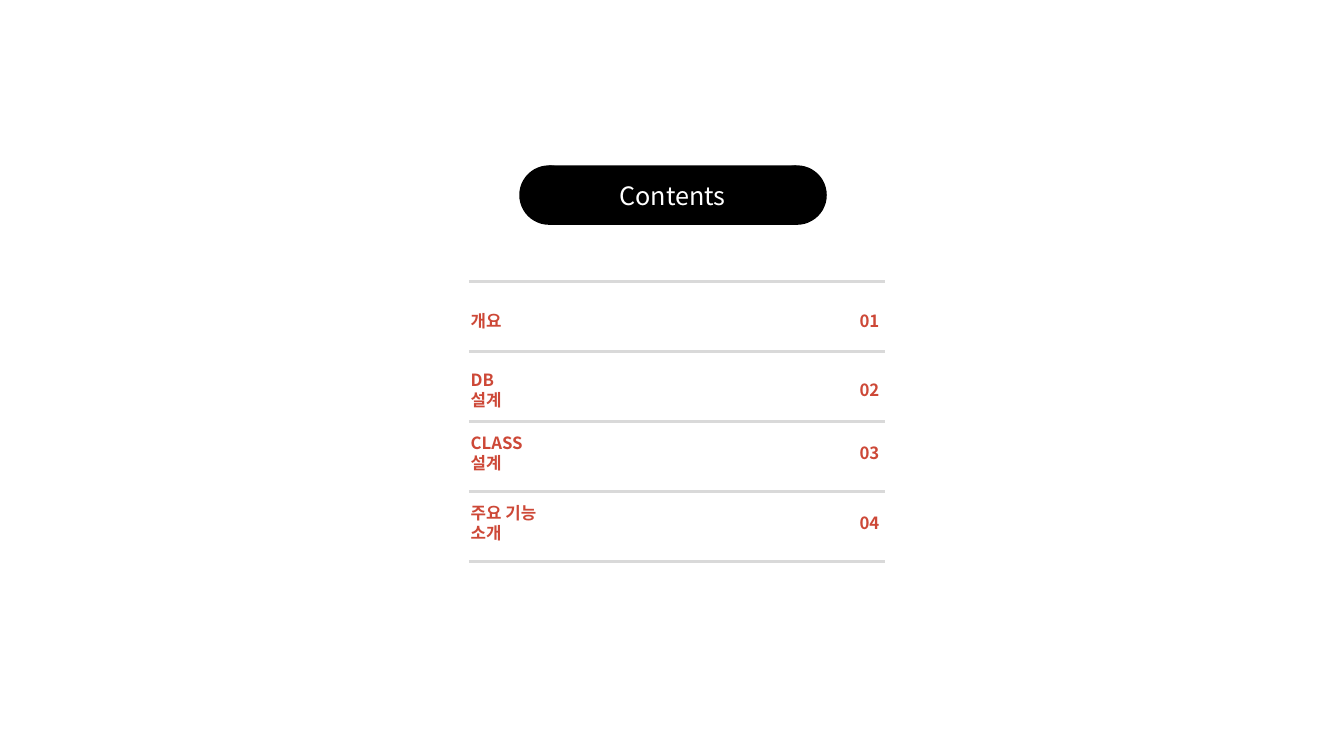
from lxml.etree import SubElement
from pptx import Presentation
from pptx.dml.color import RGBColor
from pptx.enum.shapes import MSO_CONNECTOR as Link, MSO_SHAPE as Shape
from pptx.enum.text import MSO_ANCHOR as Anchor, PP_ALIGN as Align
from pptx.oxml.ns import qn
from pptx.util import Inches, Pt

BLACK = RGBColor(0x00, 0x00, 0x00)
WHITE = RGBColor(0xFF, 0xFF, 0xFF)
RED = RGBColor(0xCD, 0x48, 0x37)
GRAY = RGBColor(0xD9, 0xD9, 0xD9)
FONT = "Noto Sans CJK KR"


def write(frame, text, size=12, color=RED, bold=True, align=Align.LEFT):
    frame.word_wrap = True
    frame.vertical_anchor = Anchor.MIDDLE
    para = frame.paragraphs[0]
    para.alignment = align
    para.line_spacing = 1.0
    run = para.add_run()
    run.text = text
    font = run.font
    font.size, font.bold, font.name = Pt(size), bold, FONT
    font.color.rgb = color
    props = run._r.get_or_add_rPr()
    SubElement(props, qn("a:ea")).set("typeface", FONT)


class Deck:
    """Draws the elements of a contents slide in one style."""

    def __init__(self):
        self.deck = Presentation()
        self.deck.slide_width = Inches(13.33)
        self.deck.slide_height = Inches(7.5)
        self.slide = self.deck.slides.add_slide(self.deck.slide_layouts[5])
        self.shapes = self.slide.shapes

    def title(self, text, left, top, width, height):
        box = self.shapes.title
        box.left, box.top = Inches(left), Inches(top)
        box.width, box.height = Inches(width), Inches(height)
        box.fill.solid()
        box.fill.fore_color.rgb = BLACK
        write(box.text_frame, text, size=18, color=WHITE, bold=False,
              align=Align.CENTER)

    def cap(self, left, top, size):
        dot = self.shapes.add_shape(Shape.OVAL, Inches(left), Inches(top),
                                    Inches(size), Inches(size))
        dot.shadow.inherit = False
        dot.fill.solid()
        dot.fill.fore_color.rgb = BLACK
        dot.line.fill.background()

    def rule(self, left, right, top):
        line = self.shapes.add_connector(Link.STRAIGHT, Inches(left),
                                         Inches(top), Inches(right), Inches(top))
        line.line.color.rgb = GRAY
        line.line.width = Pt(2.25)
        SubElement(line._element.spPr, qn("a:effectLst"))

    def label(self, text, left, mid, width, align=Align.LEFT):
        tall = 0.5
        box = self.shapes.add_textbox(Inches(left), Inches(mid - tall / 2),
                                      Inches(width), Inches(tall))
        write(box.text_frame, text, align=align)


def main():
    page = Deck()
    top, size = 1.64, 0.59
    page.title("Contents", 5.44, top, 2.46, size)
    for left in (5.15, 7.61):
        page.cap(left, top, size)

    for row in range(5):
        page.rule(4.65, 8.78, 2.79 + row * 0.695)

    items = (("개요", 3.18, 0.6), ("DB 설계", 3.87, 0.7),
             ("CLASS 설계", 4.49, 1.0), ("주요 기능 소개", 5.19, 1.1))
    for count, (text, mid, width) in enumerate(items, 1):
        page.label(text, 4.57, mid, width)
        page.label(f"{count:02}", 8.22, mid, 0.6, Align.RIGHT)

    page.deck.save("out.pptx")


if __name__ == "__main__":
    main()
